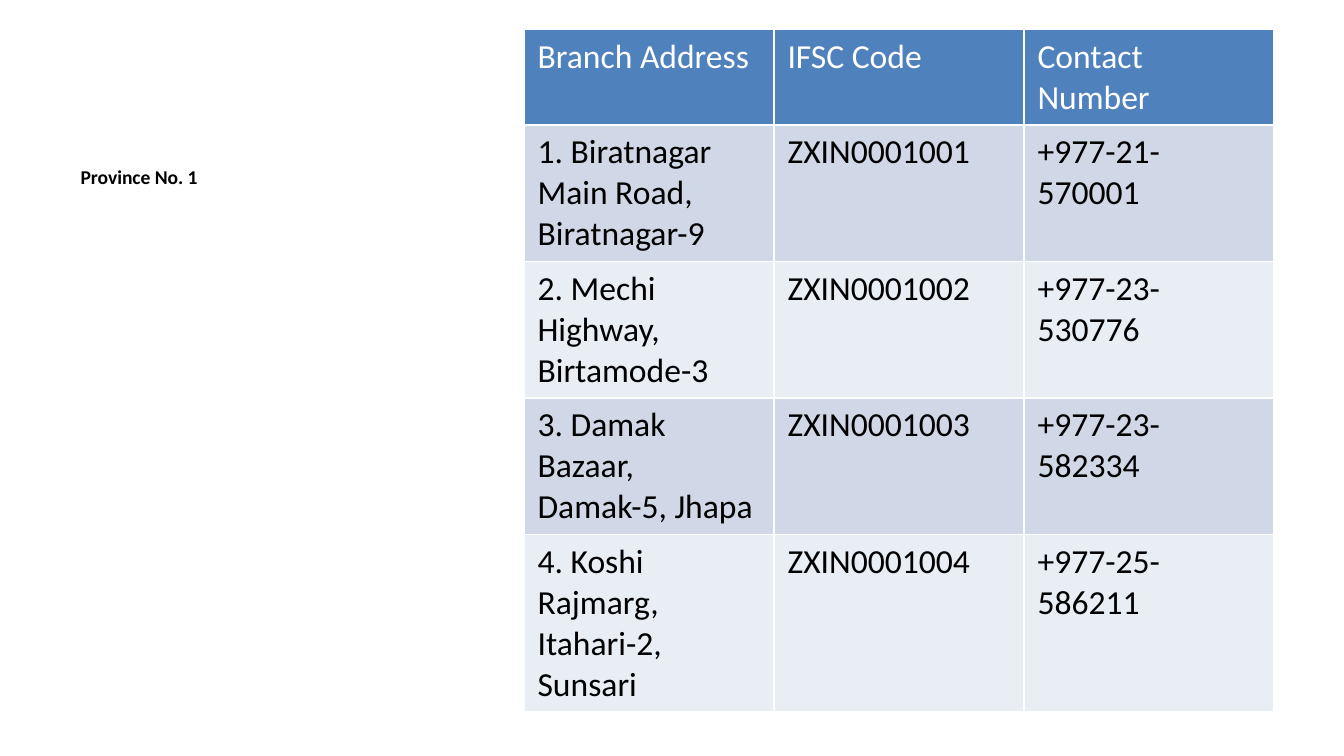
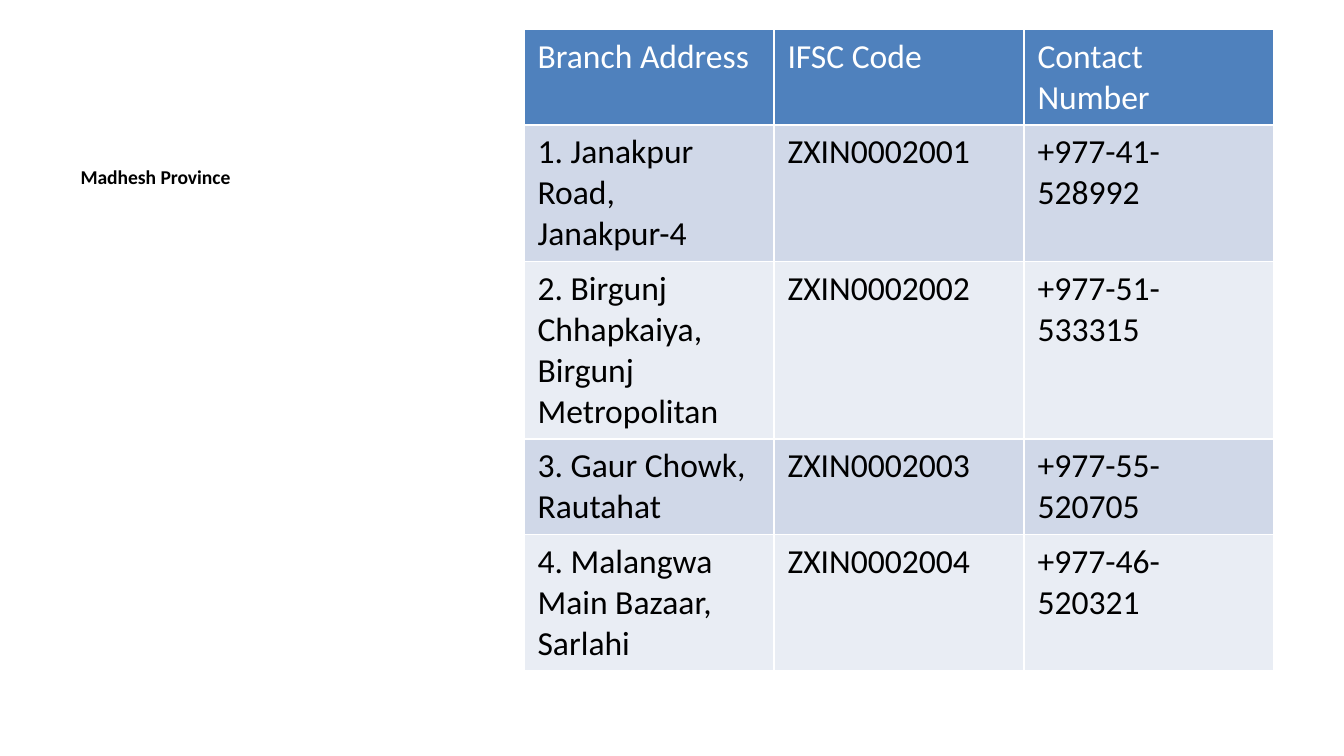
from pptx import Presentation
from pptx.dml.color import RGBColor
from pptx.enum.text import MSO_ANCHOR
from pptx.util import Inches, Pt

FONT = "Calibri"
WHITE = "FFFFFF"
BLACK = "000000"
HEADER_FILL = "4F81BD"
BAND_FILLS = ("D0D8E8", "E9EDF4")
HEADERS = ("Branch Address", "IFSC Code", "Contact Number")
COLUMN_WIDTH = 1.86

PROVINCES = [
    ("Province No. 1", [
        ("1. Biratnagar Main Road, Biratnagar-9", "ZXIN0001001", "+977-21-570001"),
        ("2. Mechi Highway, Birtamode-3", "ZXIN0001002", "+977-23-530776"),
        ("3. Damak Bazaar, Damak-5, Jhapa", "ZXIN0001003", "+977-23-582334"),
        ("4. Koshi Rajmarg, Itahari-2, Sunsari", "ZXIN0001004", "+977-25-586211"),
    ]),
    ("Madhesh Province", [
        ("1. Janakpur Road, Janakpur-4", "ZXIN0002001", "+977-41-528992"),
        ("2. Birgunj Chhapkaiya, Birgunj Metropolitan", "ZXIN0002002", "+977-51-533315"),
        ("3. Gaur Chowk, Rautahat", "ZXIN0002003", "+977-55-520705"),
        ("4. Malangwa Main Bazaar, Sarlahi", "ZXIN0002004", "+977-46-520321"),
    ]),
]


def rgb(color):
    return RGBColor.from_string(color)


def add_run(p, text, size, color, bold=False):
    r = p.add_run()
    r.text = text
    r.font.name = FONT
    r.font.size = Pt(size)
    r.font.bold = bold
    r.font.color.rgb = rgb(color)


def fill_row(row, texts, fill, color):
    for cell, text in zip(row.cells, texts):
        cell.fill.solid()
        cell.fill.fore_color.rgb = rgb(fill)
        add_run(cell.text_frame.paragraphs[0], text, 18, color)


def add_province_name(s, name):
    for sp in list(s.placeholders):
        if sp.placeholder_format.idx != 2:
            sp._element.getparent().remove(sp._element)
    body = s.placeholders[2]
    body.left, body.top = Inches(0.5), Inches(1.18)
    body.width, body.height = Inches(3.29), Inches(3.85)
    tf = body.text_frame
    tf.word_wrap = True
    tf.vertical_anchor = MSO_ANCHOR.TOP
    p = tf.paragraphs[0]
    p.space_before = Pt(0)
    add_run(p, name, 10.5, BLACK, bold=True)


def add_branch_table(s, branches):
    width, height = Inches(COLUMN_WIDTH * len(HEADERS)), Inches(4.79)
    frame = s.shapes.add_table(len(branches) + 1, len(HEADERS),
                               Inches(3.9), Inches(0.22), width, height)
    table = frame.table
    for column in table.columns:
        column.width = Inches(COLUMN_WIDTH)
    for row in table.rows:
        row.height = Inches(0)
    frame.height = height
    fill_row(table.rows[0], HEADERS, HEADER_FILL, WHITE)
    for i, branch in enumerate(branches):
        fill_row(table.rows[i + 1], branch, BAND_FILLS[i % 2], BLACK)


def main():
    prs = Presentation()
    prs.slide_width = Inches(10)
    prs.slide_height = prs.slide_width * 9 // 16
    layout = prs.slide_layouts.get_by_name("Content with Caption")
    for name, branches in PROVINCES:
        s = prs.slides.add_slide(layout)
        add_province_name(s, name)
        add_branch_table(s, branches)
    prs.save("out.pptx")


if __name__ == "__main__":
    main()
